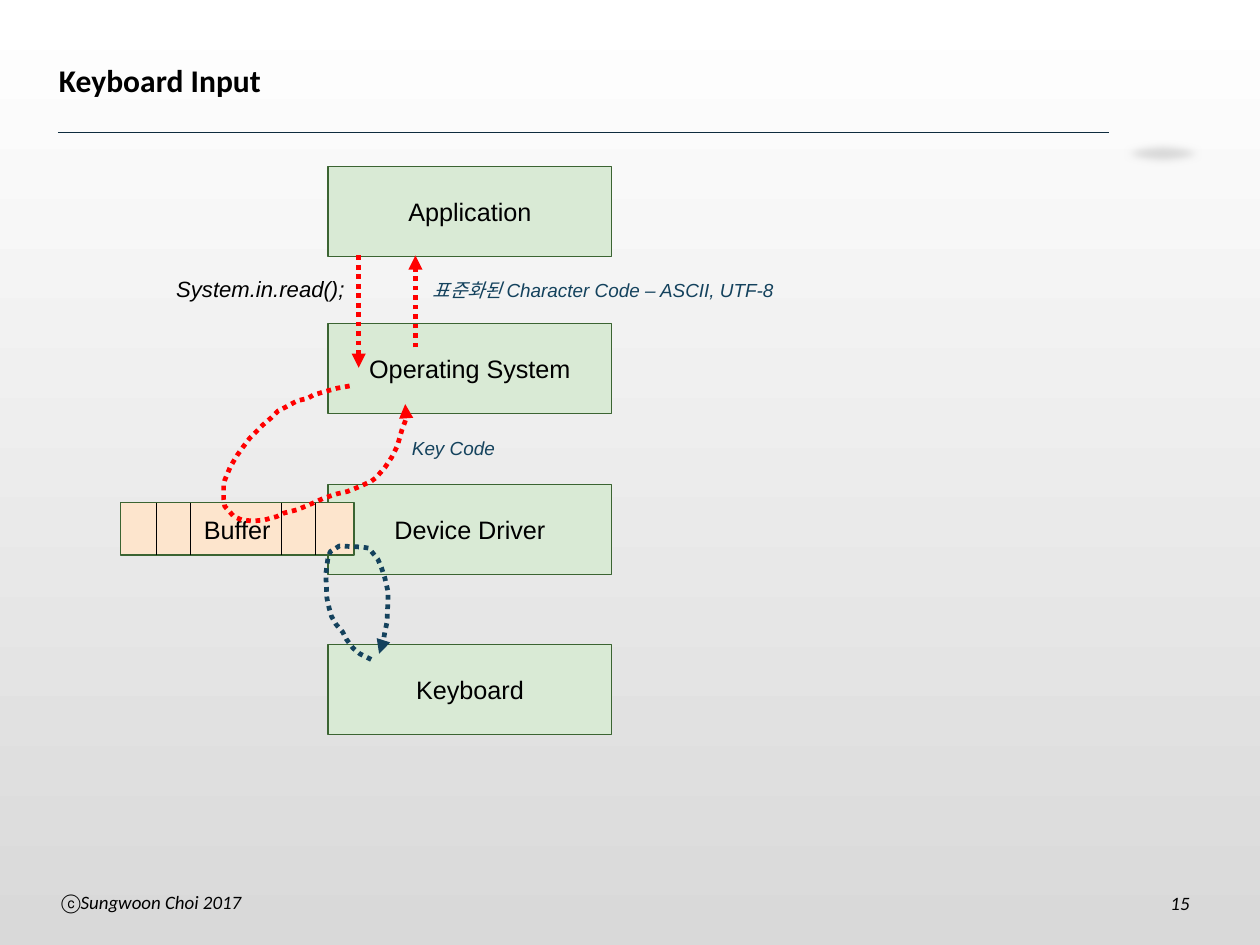
from lxml import etree
from pptx import Presentation
from pptx import util as u
from pptx.dml.color import RGBColor
from pptx.enum import dml, shapes, text
from pptx.oxml.ns import qn

COLORS = {
    "black": "000000", "navy": "14425D", "rule": "0E2C3E", "red": "FF0000",
    "green": "D9EAD5", "border": "3B6432", "peach": "FDE5CD",
    "white": "FFFFFF", "gray": "D9D9D9",
}
LEFT, CENTER, RIGHT = text.PP_ALIGN.LEFT, text.PP_ALIGN.CENTER, text.PP_ALIGN.RIGHT
TOP, MIDDLE = text.MSO_ANCHOR.TOP, text.MSO_ANCHOR.MIDDLE

SLIDE_W = 11.1
SLIDE_H = SLIDE_W * 3 / 4
LAYER_LEFT, LAYER_W, LAYER_H = 2.89, 2.5, 0.79
LAYERS = [("Application", 1.47), ("Operating System", 2.85),
          ("Device Driver", 4.27), ("Keyboard", 5.68)]
BUFFER = (1.06, 4.43, 2.06, 0.46)
DIVIDERS = [1.38, 1.68, 2.48, 2.78]
LABELS = [
    ("System.in.read();", (1.43, 2.32, 1.73, 0.45), 14, "black"),
    ("Key Code", (3.51, 3.78, 0.97, 0.33), 12, "navy"),
    ("표준화된 Character Code – ASCII, UTF-8", (3.66, 2.36, 3.31, 0.39), 12, "navy"),
]
CALLS = [((3.16, 2.25), (3.16, 3.24)), ((3.66, 3.06), (3.66, 2.25))]
KEY_PRESS = [
    (3.27, 5.81), (3.17, 5.76), (3.11, 5.71), (3.05, 5.63), (3.02, 5.57),
    (2.96, 5.5), (2.92, 5.43), (2.9, 5.36), (2.88, 5.27), (2.87, 5.06),
    (2.89, 4.91), (2.91, 4.86), (2.99, 4.81), (3.19, 4.82), (3.25, 4.83),
    (3.33, 4.93), (3.36, 5), (3.39, 5.09), (3.42, 5.22), (3.41, 5.48),
    (3.39, 5.57), (3.37, 5.69), (3.34, 5.76),
]
BUFFER_READ = [
    (3.08, 3.4), (2.97, 3.42), (2.86, 3.45), (2.76, 3.48), (2.71, 3.51),
    (2.62, 3.53), (2.51, 3.59), (2.45, 3.62), (2.39, 3.68), (2.32, 3.74),
    (2.2, 3.86), (2.14, 3.94), (2.09, 4.01), (2.03, 4.11), (1.98, 4.23),
    (1.97, 4.27), (1.97, 4.4), (1.98, 4.46), (2.06, 4.55), (2.13, 4.58),
    (2.23, 4.59), (2.33, 4.58), (2.44, 4.55), (2.5, 4.52), (2.62, 4.49),
    (2.74, 4.44), (2.85, 4.39), (2.97, 4.35), (3.06, 4.33), (3.16, 4.29),
    (3.27, 4.24), (3.31, 4.21), (3.39, 4.12), (3.45, 4.03), (3.5, 3.93),
    (3.54, 3.79), (3.57, 3.71), (3.58, 3.68), (3.57, 3.56),
]
CURVES = [(KEY_PRESS, "navy"), (BUFFER_READ, "red")]

prs = Presentation()
prs.slide_width, prs.slide_height = u.Inches(SLIDE_W), u.Inches(SLIDE_H)
s = prs.slides.add_slide(prs.slide_layouts[6])


def rgb(name):
    return RGBColor.from_string(COLORS[name])


def inches(values):
    return [u.Inches(v) for v in values]


def write(sp, words, size, color="black", font="Arial", align=CENTER,
          anchor=MIDDLE, bold=False, italic=False, inset=(0, 0)):
    tf = sp.text_frame
    tf.word_wrap = True
    tf.vertical_anchor = anchor
    tf.margin_left = tf.margin_right = u.Inches(inset[0])
    tf.margin_top = tf.margin_bottom = u.Inches(inset[1])
    p = tf.paragraphs[0]
    p.alignment = align
    r = p.add_run()
    r.text = words
    r.font.name, r.font.size = font, u.Pt(size)
    r.font.bold, r.font.italic = bold, italic
    r.font.color.rgb = rgb(color)
    return p


def add_text(box, words, size, **style):
    return write(s.shapes.add_textbox(*inches(box)), words, size, **style)


def add_block(kind, box, fill, border=None):
    sp = s.shapes.add_shape(kind, *inches(box))
    sp.shadow.inherit = False
    sp.fill.solid()
    sp.fill.fore_color.rgb = rgb(fill)
    if border:
        sp.line.color.rgb = rgb(border)
        sp.line.width = u.Pt(0.75)
    else:
        sp.line.fill.background()
    return sp


def add_line(start, end, color):
    c = s.shapes.add_connector(shapes.MSO_CONNECTOR.STRAIGHT, *inches(start + end))
    c.line.color.rgb = rgb(color)
    c.line.width = u.Pt(0.75)
    etree.SubElement(c._element.spPr, qn("a:effectLst"))
    return c


def dot_arrow(sp, color):
    sp.line.color.rgb = rgb(color)
    sp.line.width = u.Pt(3)
    sp.line.dash_style = dml.MSO_LINE.ROUND_DOT
    ln = sp.line._get_or_add_ln()
    ln.find(qn("a:prstDash")).set("val", "sysDot")
    etree.SubElement(ln, qn("a:tailEnd"), type="triangle")


def add_curve(points, color):
    start, *rest = [inches(pt) for pt in points]
    fb = s.shapes.build_freeform(*start)
    fb.add_line_segments(rest, close=False)
    sp = fb.convert_to_shape()
    sp.shadow.inherit = False
    sp.fill.background()
    dot_arrow(sp, color)


bg = s.background.fill
bg.gradient()
bg.gradient_angle = 270
for stop, name, pos in zip(bg.gradient_stops, ("white", "gray"), (0, 1)):
    stop.color.rgb = rgb(name)
    stop.position = pos

smudge = add_block(shapes.MSO_SHAPE.OVAL, (9.81, 1.23, 0.87, 0.25), "gray")
effects = smudge._element.spPr.find(qn("a:effectLst"))
etree.SubElement(effects, qn("a:softEdge"), rad=str(u.Inches(0.07)))
add_line((0.51, 1.17), (9.77, 1.17), "rule")

frame = {"font": "Calibri", "inset": (0.11, 0.06)}
add_text((0.41, 0.23, 9.52, 0.94), "Keyboard Input", 20, align=LEFT, bold=True, **frame)
add_text((9.92, 7.79, 0.67, 0.25), "15", 12, align=RIGHT, anchor=TOP, italic=True, **frame)
p = add_text((0.43, 7.79, 2.05, 0.33), "Sungwoon Choi 2017", 12,
             align=LEFT, anchor=TOP, italic=True, **frame)
pPr = p._p.get_or_add_pPr()
pPr.set("marL", str(u.Inches(0.17)))
pPr.set("indent", str(-u.Inches(0.17)))
etree.SubElement(pPr, qn("a:buFont"), typeface="Arial")
etree.SubElement(pPr, qn("a:buChar"), char="ⓒ")

for name, top in LAYERS:
    sp = add_block(shapes.MSO_SHAPE.RECTANGLE, (LAYER_LEFT, top, LAYER_W, LAYER_H),
                   "green", "border")
    write(sp, name, 16)
write(add_block(shapes.MSO_SHAPE.RECTANGLE, BUFFER, "peach", "border"), "Buffer", 16)

for words, box, size, color in LABELS:
    add_text(box, words, size, color=color, italic=True)
for points, color in CURVES:
    add_curve(points, color)
for x in DIVIDERS:
    add_line((x, BUFFER[1]), (x, BUFFER[1] + BUFFER[3]), "black")
for start, end in CALLS:
    dot_arrow(add_line(start, end, "red"), "red")

prs.save("out.pptx")
